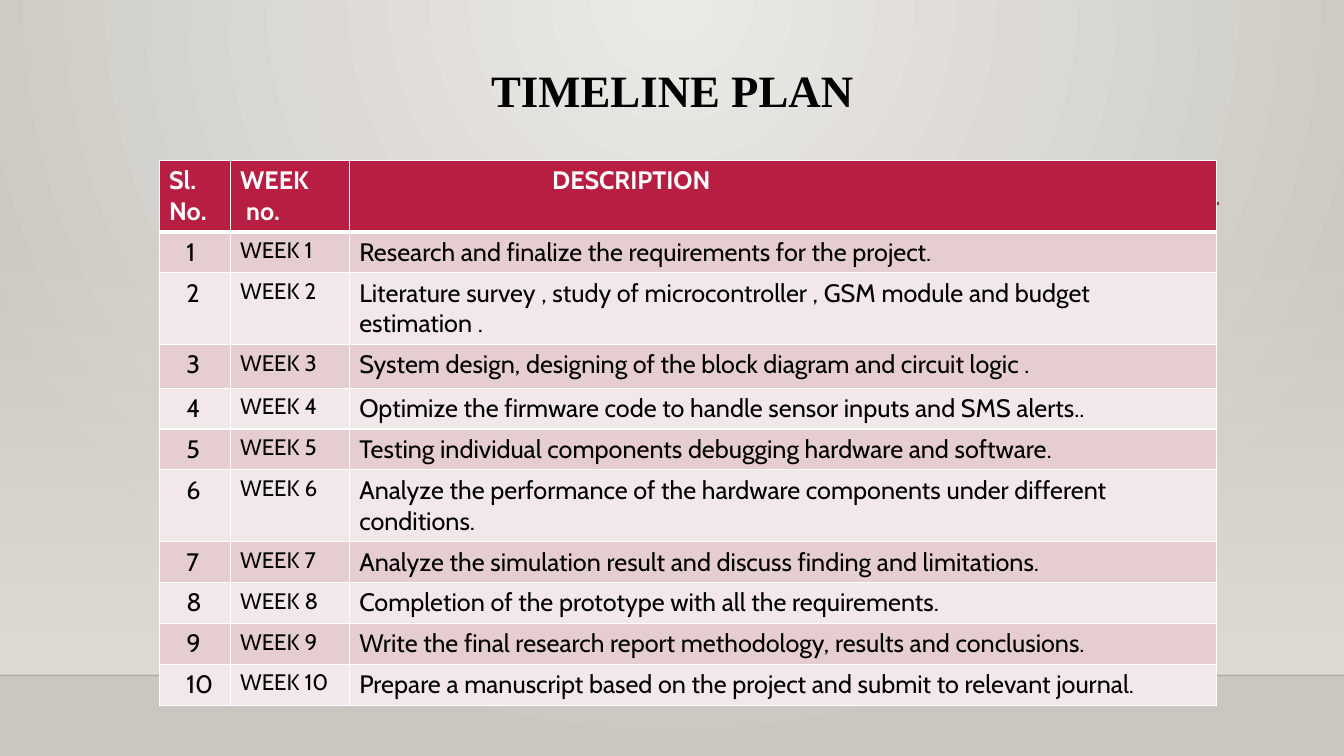
from dataclasses import dataclass

from pptx import Presentation
from pptx.dml.color import RGBColor as RGB
from pptx.enum.shapes import MSO_CONNECTOR as Link, MSO_SHAPE as Shape
from pptx.enum.text import MSO_ANCHOR as Anchor, PP_ALIGN as Align
from pptx.oxml import parse_xml
from pptx.oxml.ns import nsdecls, qn
from pptx.util import Cm, Pt


@dataclass
class Theme:
    red: str = "B71E42"
    white: str = "FFFFFF"
    black: str = "000000"
    edge: str = "000001"
    bands: tuple = ("E6CDCF", "F3E8E9")
    glow: str = "ECEAE7"
    dusk: str = "CAC7C1"
    wall: str = "DFDBD5"
    serif: str = "Times New Roman"
    sans: str = "Cabin"
    title: int = 32
    body: int = 18
    week: int = 16


theme = Theme()


def write(frame, text, size=theme.body, font=theme.sans, color=theme.black,
          bold=False, align=Align.LEFT, indents=(0,), space=None):
    """Fill a text frame, one paragraph per line, each with its indent in cm."""
    frame.text = text
    for para, indent in zip(frame.paragraphs, indents):
        para.alignment = align
        para.line_spacing = space
        if indent:
            para._p.get_or_add_pPr().set("marL", str(Cm(indent)))
        face = para.runs[0].font
        face.size, face.name, face.bold = Pt(size), font, bold
        face.color.rgb = RGB.from_string(color)


def blend(root, start, end, alpha, shade):
    """Replace the gradient under root by two stops, the first with an alpha."""
    old = root.find(".//" + qn("a:gradFill"))
    new = parse_xml(
        f'<a:gradFill {nsdecls("a")} rotWithShape="1"><a:gsLst>'
        f'<a:gs pos="0"><a:srgbClr val="{start}"><a:alpha val="{alpha}"/></a:srgbClr></a:gs>'
        f'<a:gs pos="100000"><a:srgbClr val="{end}"/></a:gs>'
        f'</a:gsLst>{shade}</a:gradFill>')
    old.getparent().replace(old, new)


deck = Presentation()
deck.slide_width, deck.slide_height = Cm(33.87), Cm(19.05)
slide = deck.slides.add_slide(deck.slide_layouts[6])

# Backdrop
slide.background.fill.gradient()
blend(slide._element, theme.glow, theme.dusk, 100000,
      '<a:path path="circle"><a:fillToRect l="43000" t="0" r="43000" b="100000"/></a:path>')
wall = slide.shapes.add_shape(Shape.RECTANGLE, Cm(0), Cm(5.61), Cm(33.87), Cm(11.41))
wall.shadow.inherit = False
wall.line.fill.background()
wall.fill.gradient()
blend(wall._element, theme.wall, theme.wall, 0, '<a:lin ang="5400000" scaled="0"/>')

# Floor edge and title rule
for left, right, y, color, width, alpha in (
    (0, 33.87, 17.02, theme.edge, 1, 20000),
    (4.04, 30.73, 5.13, theme.red, 2.5, 100000),
):
    rule = slide.shapes.add_connector(Link.STRAIGHT, Cm(left), Cm(y), Cm(right), Cm(y))
    rule.line.color.rgb = RGB.from_string(color)
    rule.line.width = Pt(width)
    tint = rule._element.spPr.find(".//" + qn("a:srgbClr"))
    tint.append(parse_xml(f'<a:alpha {nsdecls("a")} val="{alpha}"/>'))
    rule._element.spPr.append(parse_xml(f'<a:effectLst {nsdecls("a")}/>'))

title = slide.shapes.add_textbox(Cm(3.61), Cm(1.6), Cm(26.67), Cm(2.92)).text_frame
title.word_wrap = True
title.vertical_anchor = Anchor.TOP
write(title, "TIMELINE PLAN", size=theme.title, font=theme.serif, bold=True,
      align=Align.CENTER, space=0.9)

# Plan
tasks = (
    "Research and finalize the requirements for the project.",
    "Literature survey , study of microcontroller , GSM module and budget estimation .",
    "System design, designing of the block diagram and circuit logic .",
    "Optimize the firmware code to handle sensor inputs and SMS alerts..",
    "Testing individual components debugging hardware and software.",
    "Analyze the performance of the hardware components under different conditions.",
    "Analyze the simulation result and discuss finding and limitations.",
    "Completion of the prototype with all the requirements.",
    "Write the final research report methodology, results and conclusions.",
    "Prepare a manuscript based on the project and submit to relevant journal.",
)
widths = (1.79, 3, 21.86)
tall = {0: 1.8, 2: 1.81, 3: 1.1, 6: 1.81}
heights = [tall.get(row, 1.03) for row in range(len(tasks) + 1)]
table = slide.shapes.add_table(len(heights), len(widths), Cm(4.01), Cm(4.04),
                               Cm(sum(widths)), Cm(sum(heights))).table
for col, width in zip(table.columns, widths):
    col.width = Cm(width)
for row, height in zip(table.rows, heights):
    row.height = Cm(height)

heads = (("Sl.\nNo.", (0, 0)), ("WEEK\nno.", (0, 0.15)), ("DESCRIPTION", (4.86,)))
for col, (text, indents) in enumerate(heads):
    write(table.cell(0, col).text_frame, text, color=theme.white, bold=True, indents=indents)
for num, task in enumerate(tasks, 1):
    write(table.cell(num, 0).text_frame, str(num), indents=(0.43,))
    write(table.cell(num, 1).text_frame, f"WEEK {num}", size=theme.week)
    write(table.cell(num, 2).text_frame, task)

for num, row in enumerate(table.rows):
    for cell in row.cells:
        cell.fill.solid()
        cell.fill.fore_color.rgb = RGB.from_string(theme.bands[(num - 1) % 2] if num else theme.red)
        for spot, side in enumerate("LRTB"):
            thick = (num, side) in ((0, "B"), (1, "T"))
            cell._tc.get_or_add_tcPr().insert(spot, parse_xml(
                f'<a:ln{side} {nsdecls("a")} w="{Pt(3 if thick else 1)}"><a:solidFill>'
                f'<a:srgbClr val="{theme.white}"/></a:solidFill></a:ln{side}>'))

deck.save("out.pptx")
